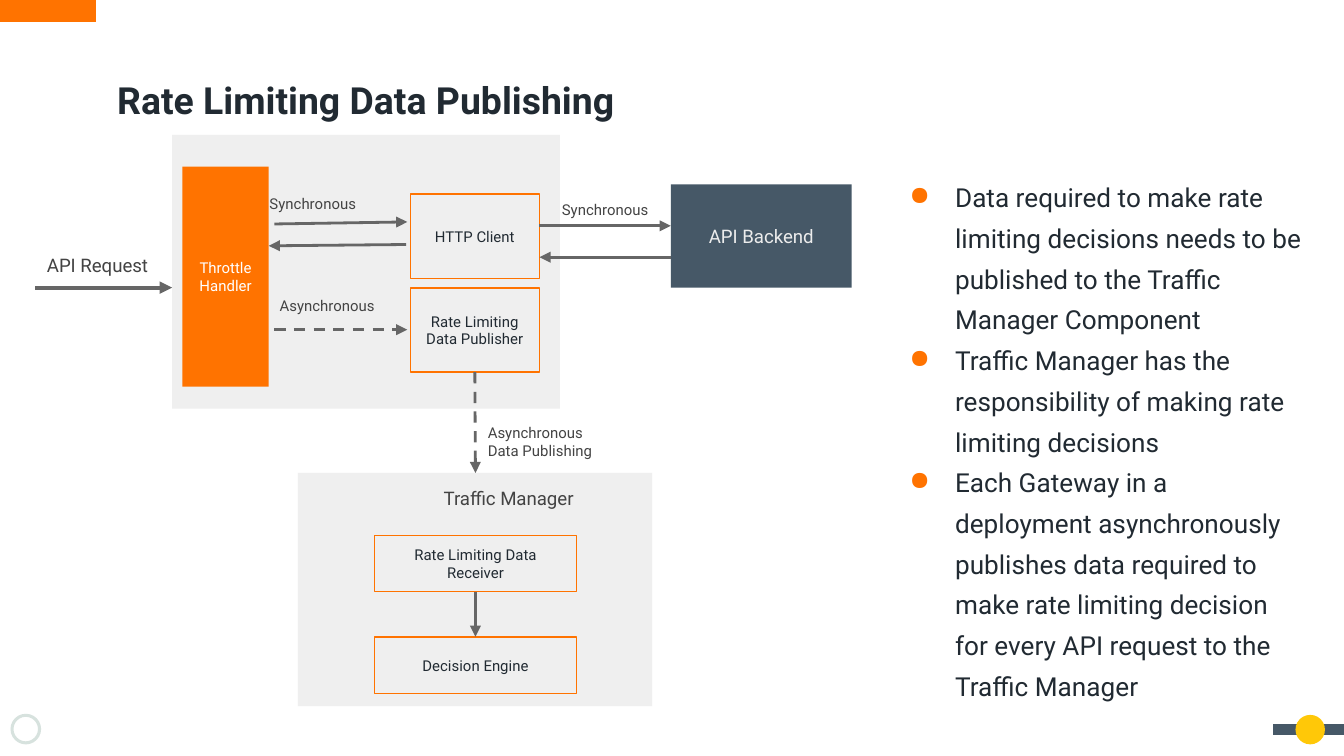
from lxml import etree
from pptx import Presentation
from pptx.dml.color import RGBColor
from pptx.enum.dml import MSO_LINE
from pptx.enum.shapes import MSO_CONNECTOR, MSO_SHAPE
from pptx.enum.text import MSO_ANCHOR, PP_ALIGN
from pptx.oxml.ns import qn
from pptx.util import Pt

RECTANGLE, ELLIPSE, DONUT = MSO_SHAPE.RECTANGLE, MSO_SHAPE.OVAL, MSO_SHAPE.DONUT
STRAIGHT = MSO_CONNECTOR.STRAIGHT
DASH = MSO_LINE.DASH
TOP, MIDDLE = MSO_ANCHOR.TOP, MSO_ANCHOR.MIDDLE
LEFT, CENTER = PP_ALIGN.LEFT, PP_ALIGN.CENTER

COLORS = {
    "orange": "FF7300", "yellow": "FFC808", "slate": "465867", "mist": "D7E2DE",
    "panel": "EFEFEF", "arrow": "666666", "ink": "212A32", "label": "434343",
    "white": "FFFFFF", "pale": "ECECEC",
}
INSET = 7.2


def color(name):
    return RGBColor.from_string(COLORS[name])


class SlidePainter:
    """Holds the current slide and the style shared by its elements."""

    font = "Roboto"

    def __init__(self, slide):
        self.slide = slide

    def add_text(self, frame, paragraphs, size, ink, align=CENTER, anchor=MIDDLE, bold=False):
        frame.word_wrap = True
        frame.vertical_anchor = anchor
        frame.margin_left = frame.margin_right = Pt(INSET)
        frame.margin_top = frame.margin_bottom = Pt(INSET)
        for index, text in enumerate(paragraphs):
            para = frame.add_paragraph() if index else frame.paragraphs[0]
            para.alignment = align
            span = para.add_run()
            span.text = text
            span.font.name = self.font
            span.font.size = Pt(size)
            span.font.bold = bold
            span.font.color.rgb = color(ink)

    def title(self, text, left, top, width, height):
        box = self.slide.shapes.title
        box.left, box.top, box.width, box.height = map(Pt, (left, top, width, height))
        self.add_text(box.text_frame, [text], 20, "ink", LEFT, bold=True)

    def shape(self, kind, area, fill=None, outline=None):
        box = self.slide.shapes.add_shape(kind, *map(Pt, area))
        box.shadow.inherit = False
        if fill:
            box.fill.solid()
            box.fill.fore_color.rgb = color(fill)
        else:
            box.fill.background()
        if outline:
            box.line.color.rgb = color(outline)
            box.line.width = Pt(0.75)
        else:
            box.line.fill.background()
        return box

    def step(self, text, area):
        """Orange-outlined processing step."""
        box = self.shape(RECTANGLE, area, outline="orange")
        self.add_text(box.text_frame, [text], 8, "ink")

    def label(self, text, left, top, size=8, align=CENTER, anchor=TOP):
        box = self.slide.shapes.add_textbox(Pt(left), Pt(top), Pt(75.6), Pt(18.7))
        self.add_text(box.text_frame, [text], size, "label", align, anchor)

    def line(self, start, end, width=1.5, ink="arrow", dash=None):
        link = self.slide.shapes.add_connector(STRAIGHT, *map(Pt, (*start, *end)))
        link.line.color.rgb = color(ink)
        link.line.width = Pt(width)
        if dash:
            link.line.dash_style = dash
        etree.SubElement(link._element.spPr, qn("a:effectLst"))
        return link

    def arrow(self, start, end, width=1.5, dash=None):
        link = self.line(start, end, width, dash=dash)
        outline = link._element.spPr.find(qn("a:ln"))
        etree.SubElement(outline, qn("a:tailEnd"), type="triangle")

    def bullets(self, items, area):
        box = self.slide.shapes.add_textbox(*map(Pt, area))
        self.add_text(box.text_frame, items, 14, "ink", LEFT, TOP)
        for para in box.text_frame.paragraphs:
            para.line_spacing = 1.3
            properties = para._p.get_or_add_pPr()
            properties.set("marL", str(Pt(36)))
            properties.set("indent", str(-Pt(24.5)))
            tint = etree.SubElement(properties, qn("a:buClr"))
            etree.SubElement(tint, qn("a:srgbClr"), val=COLORS["orange"])
            etree.SubElement(properties, qn("a:buChar"), char="●")


def draw_frame(painter):
    painter.line((0, 5.7), (51.4, 5.7), 12, "orange")
    painter.line((682, 391), (720, 391), 6, "slate")
    painter.shape(ELLIPSE, (694, 383, 15.8, 15.8), "yellow")
    ring = painter.shape(DONUT, (5.6, 382.4, 16.4, 16.4), "mist")
    ring.adjustments[0] = 0.1


def draw_gateway(painter):
    painter.shape(RECTANGLE, (92.2, 72.3, 207.8, 146.7), "panel")
    for text, top in (("HTTP Client", 104), ("Rate Limiting Data Publisher", 154.2)):
        painter.step(text, (219.8, top, 69.2, 45.2))
    handler = painter.shape(RECTANGLE, (97.8, 89.2, 46.2, 118), "orange")
    painter.add_text(handler.text_frame, ["Throttle", "Handler"], 8, "white")
    backend = painter.shape(RECTANGLE, (359.4, 98.8, 96.8, 55.4), "slate")
    painter.add_text(backend.text_frame, ["API Backend"], 10, "pale")


def draw_traffic_manager(painter):
    manager = painter.shape(RECTANGLE, (159.6, 253.4, 189.8, 125), "panel")
    painter.add_text(manager.text_frame, ["Traffic Manager"], 10, "label", anchor=TOP)
    properties = manager.text_frame.paragraphs[0]._p.get_or_add_pPr()
    properties.set("indent", str(Pt(36)))
    for text, top in (("Rate Limiting Data Receiver", 286.8), ("Decision Engine", 341.2)):
        painter.step(text, (200.8, top, 108, 30.2))


def draw_flows(painter):
    painter.arrow((19, 154.1), (92.2, 154.1), 2.25)
    painter.arrow((147, 120), (218.2, 118.9))
    painter.arrow((217.6, 131), (144, 131.7))
    painter.arrow((147, 176.6), (218.2, 176.6), dash=DASH)
    painter.arrow((289, 121), (359.4, 121))
    painter.arrow((359.4, 137.8), (289, 137.8))
    painter.arrow((254.4, 199.4), (254.7, 253.4), dash=DASH)
    painter.arrow((254.7, 317), (254.7, 341.2))

    painter.label("API Request", 14.4, 130.2, size=10)
    painter.label("Synchronous", 129.8, 99.2)
    painter.label("Asynchronous", 137.5, 154)
    painter.label("Synchronous", 286.4, 102.7)
    painter.label("Asynchronous Data Publishing", 254.2, 227, align=LEFT, anchor=MIDDLE)


def main():
    deck = Presentation()
    deck.slide_width, deck.slide_height = Pt(720), Pt(405)
    painter = SlidePainter(deck.slides.add_slide(deck.slide_layouts[5]))

    draw_frame(painter)
    painter.title("Rate Limiting Data Publishing", 55.6, 36, 612.7, 34.6)
    draw_traffic_manager(painter)
    draw_gateway(painter)
    draw_flows(painter)
    painter.bullets([
        "Data required to make rate limiting decisions needs to be published "
        "to the Traffic Manager Component",
        "Traffic Manager has the responsibility of making rate limiting decisions",
        "Each Gateway in a deployment asynchronously publishes data required to "
        "make rate limiting decision for every API request to the Traffic Manager",
    ], (468.6, 85, 238.4, 269.3))
    deck.save("out.pptx")


if __name__ == "__main__":
    main()
